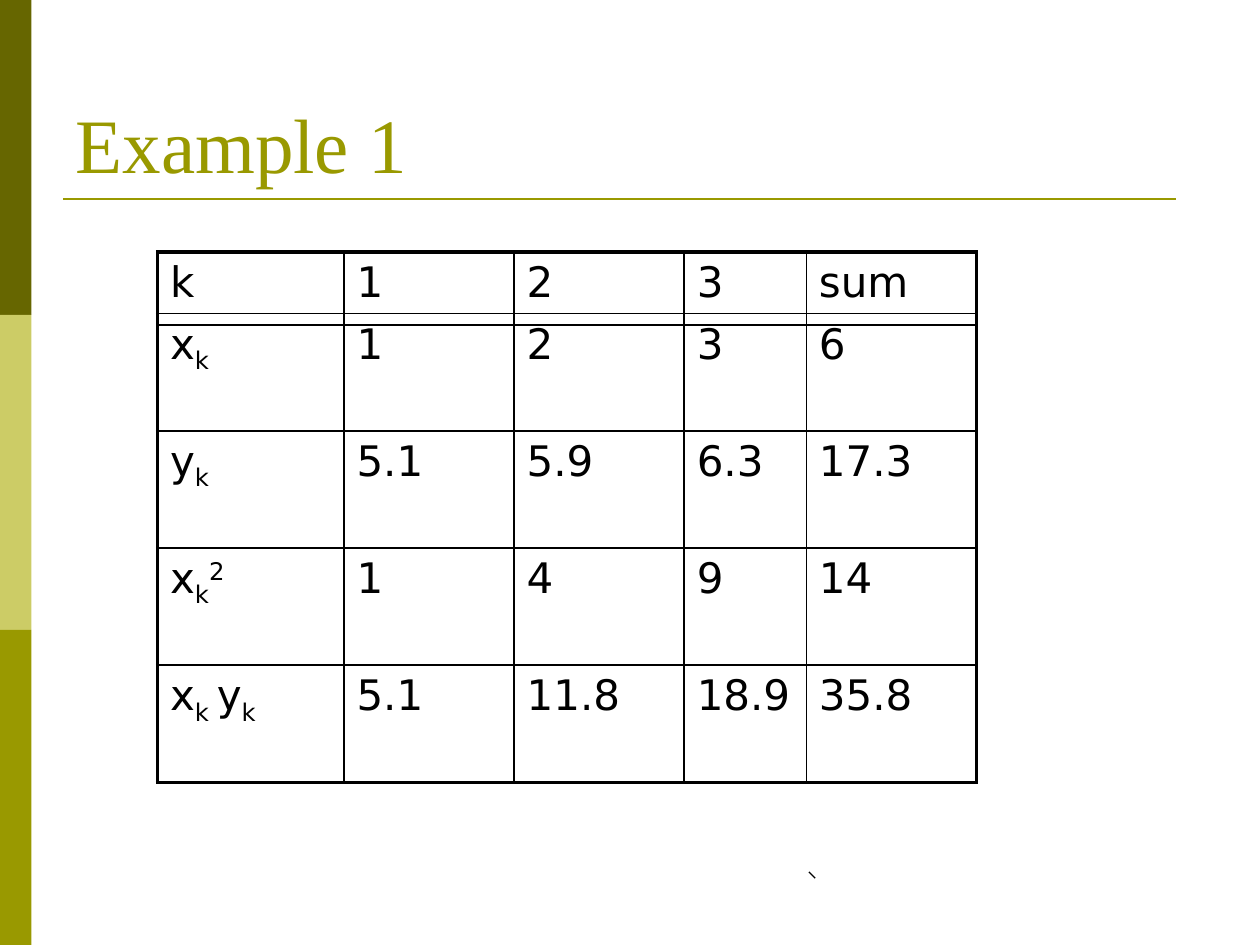
from dataclasses import dataclass

from lxml.etree import SubElement
from pptx import Presentation
from pptx.dml.color import RGBColor
from pptx.enum.shapes import MSO_CONNECTOR, MSO_SHAPE
from pptx.enum.text import MSO_ANCHOR, PP_ALIGN
from pptx.oxml.ns import qn
from pptx.util import Inches, Pt


@dataclass(frozen=True)
class Theme:
    dark: str = "666600"
    light: str = "CCCC66"
    olive: str = "999900"
    ink: str = "000000"
    serif: str = "Times New Roman"
    sans: str = "DejaVu Sans"
    head: float = 44
    body: float = 24
    thin: float = 1
    thick: float = 2.25


@dataclass(frozen=True)
class Band:
    top: float
    color: str


@dataclass(frozen=True)
class Rule:
    start: tuple[float, float]
    end: tuple[float, float]
    color: str
    width: float


@dataclass(frozen=True)
class Part:
    text: str
    shift: int = 0


THEME = Theme()
SUB = Part("k", -25)
BANDS = [Band(0, THEME.dark), Band(2.5, THEME.light), Band(5, THEME.olive)]
RULES = [
    Rule((0.5, 1.58), (9.33, 1.58), THEME.olive, 1.5),
    Rule((6.47, 6.97), (6.42, 6.92), THEME.ink, 0.75),
    Rule((1.25, 2.58), (7.75, 2.58), THEME.ink, 0.75),
]
LABELS = [
    [Part("k")],
    [Part("x"), SUB],
    [Part("y"), SUB],
    [Part("x"), SUB, Part("2", 30)],
    [Part("x"), Part("k ", -25), Part("y"), SUB],
]
VALUES = [
    ["1", "2", "3", "sum"],
    ["1", "2", "3", "6"],
    ["5.1", "5.9", "6.3", "17.3"],
    ["1", "4", "9", "14"],
    ["5.1", "11.8", "18.9", "35.8"],
]
WIDTHS = [1.48, 1.35, 1.35, 0.97, 1.35]
HEIGHTS = [0.49] + [0.93] * 4


def style(font, name: str, size: float, color: str) -> None:
    font.name = name
    font.size = Pt(size)
    font.color.rgb = RGBColor.from_string(color)


def draw_band(slide, band: Band) -> None:
    shape = slide.shapes.add_shape(
        MSO_SHAPE.RECTANGLE, 0, Inches(band.top), Inches(0.25), Inches(2.5)
    )
    shape.shadow.inherit = False
    shape.fill.solid()
    shape.fill.fore_color.rgb = RGBColor.from_string(band.color)
    shape.line.fill.background()


def draw_rule(slide, rule: Rule) -> None:
    ends = [Inches(n) for n in rule.start + rule.end]
    line = slide.shapes.add_connector(MSO_CONNECTOR.STRAIGHT, *ends)
    line.line.color.rgb = RGBColor.from_string(rule.color)
    line.line.width = Pt(rule.width)
    SubElement(line._element.spPr, qn("a:effectLst"))


def draw_title(slide, text: str) -> None:
    title = slide.shapes.title
    title.left, title.top = Inches(0.5), Inches(0.3)
    title.width, title.height = Inches(9), Inches(1.25)
    frame = title.text_frame
    frame.text = text
    frame.vertical_anchor = MSO_ANCHOR.BOTTOM
    para = frame.paragraphs[0]
    para.alignment = PP_ALIGN.LEFT
    style(para.font, THEME.serif, THEME.head, THEME.olive)


def draw_edges(cell, outer: dict[str, bool]) -> None:
    props = cell._tc.get_or_add_tcPr()
    for side, thick in outer.items():
        width = Pt(THEME.thick if thick else THEME.thin)
        edge = SubElement(props, qn(f"a:ln{side}"), w=str(width))
        fill = SubElement(edge, qn("a:solidFill"))
        SubElement(fill, qn("a:srgbClr"), val=THEME.ink)


def fill_cell(cell, parts: list[Part]) -> None:
    para = cell.text_frame.paragraphs[0]
    for part in parts:
        run = para.add_run()
        run.text = part.text
        if part.shift:
            run._r.get_or_add_rPr().set("baseline", str(part.shift * 1000))
    style(para.font, THEME.sans, THEME.body, THEME.ink)
    cell.fill.background()


def draw_table(slide) -> None:
    rows, cols = len(HEIGHTS), len(WIDTHS)
    table = slide.shapes.add_table(
        rows, cols, Inches(1.25), Inches(2),
        Inches(sum(WIDTHS)), Inches(sum(HEIGHTS)),
    ).table
    table.first_row = table.horz_banding = False
    for col, width in zip(table.columns, WIDTHS):
        col.width = Inches(width)
    for row, height in zip(table.rows, HEIGHTS):
        row.height = Inches(height)
    for r, (label, values) in enumerate(zip(LABELS, VALUES)):
        for c, parts in enumerate([label] + [[Part(v)] for v in values]):
            cell = table.cell(r, c)
            draw_edges(cell, {
                "L": c == 0, "R": c == cols - 1,
                "T": r == 0, "B": r == rows - 1,
            })
            fill_cell(cell, parts)


def main() -> None:
    deck = Presentation()
    deck.slide_width, deck.slide_height = Inches(10), Inches(7.5)
    slide = deck.slides.add_slide(deck.slide_layouts[5])
    for band in BANDS:
        draw_band(slide, band)
    draw_title(slide, "Example 1")
    draw_table(slide)
    for rule in RULES:
        draw_rule(slide, rule)
    deck.save("out.pptx")


if __name__ == "__main__":
    main()
